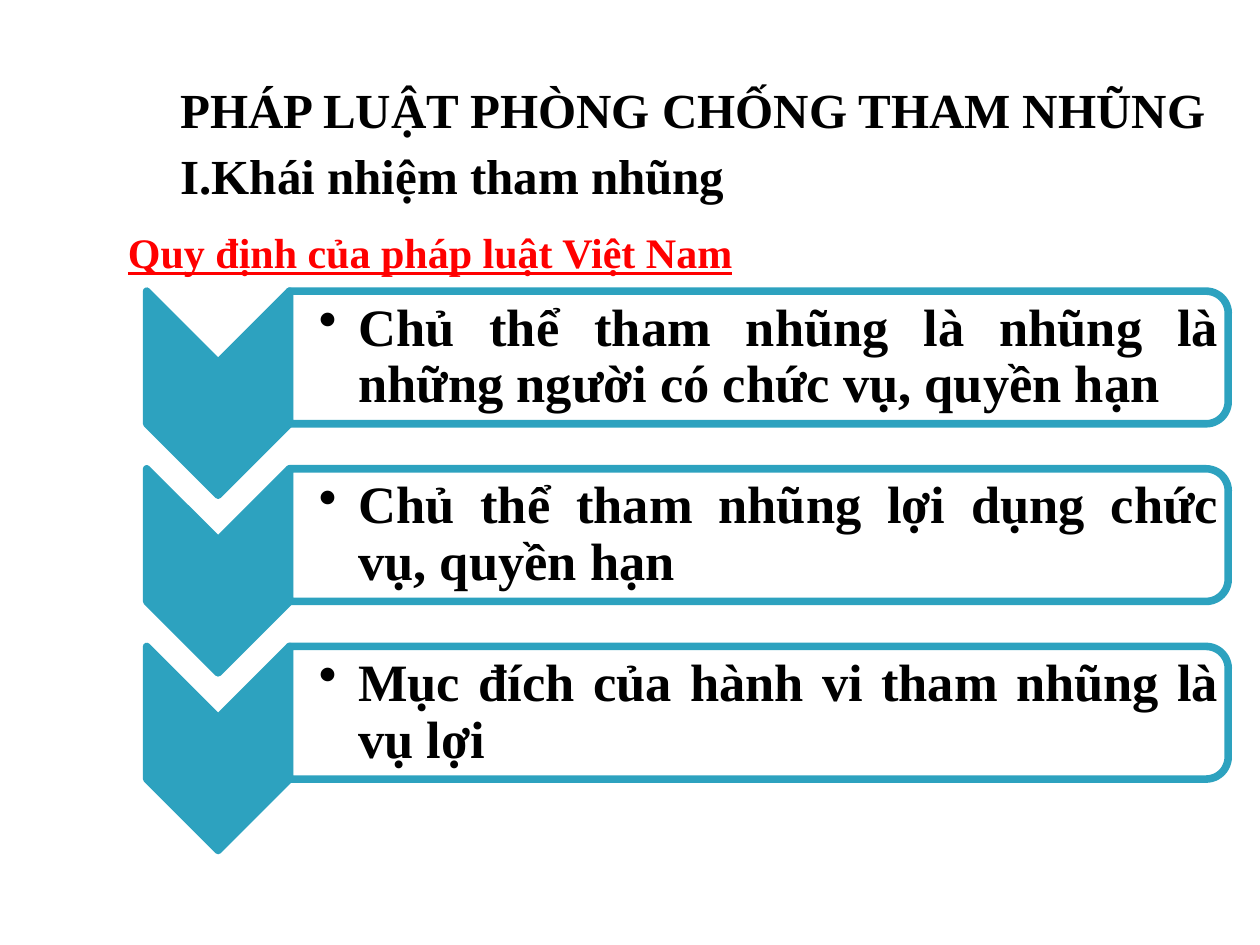
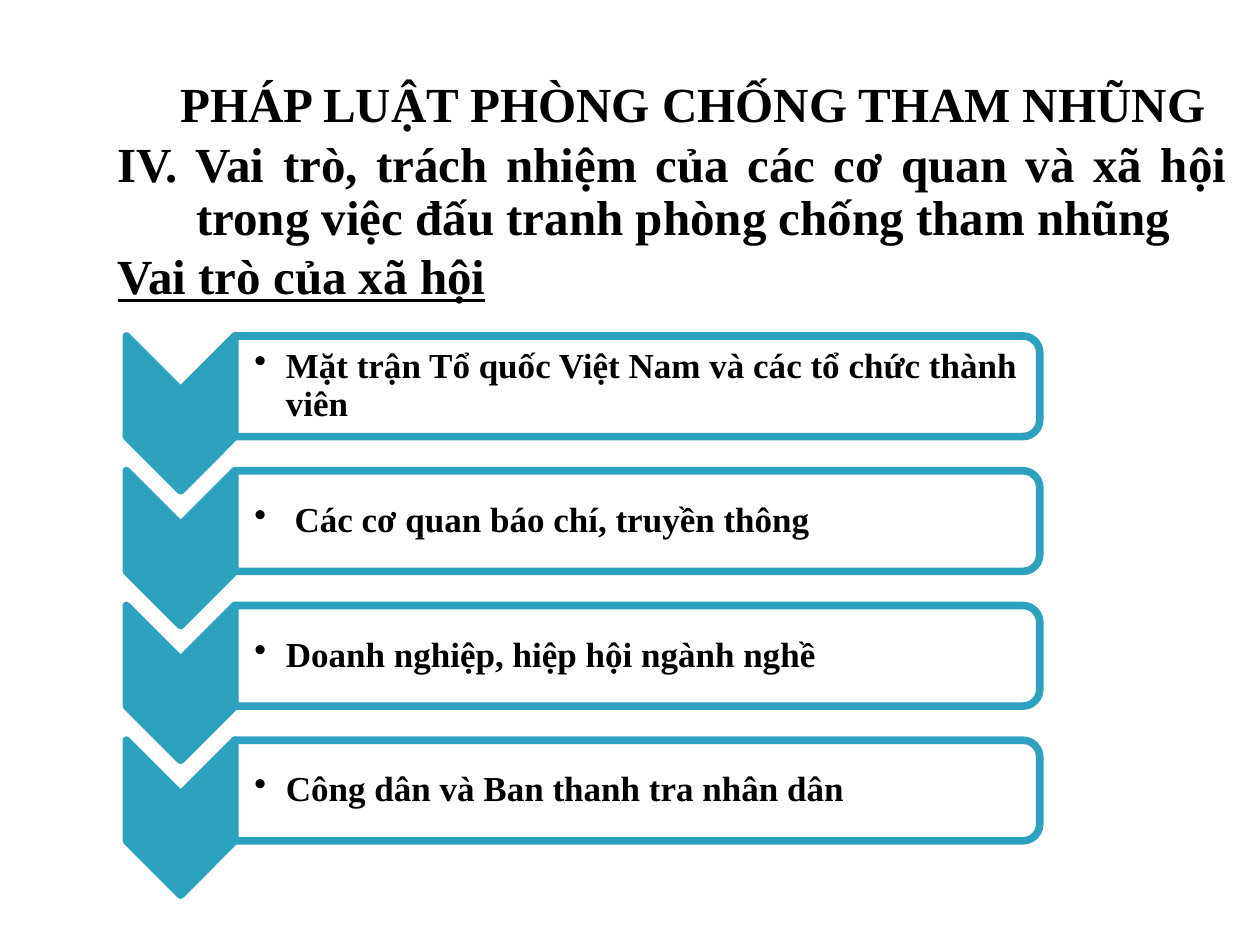
from lxml.etree import SubElement
from pptx import Presentation
from pptx.dml.color import RGBColor
from pptx.enum.shapes import MSO_SHAPE as Preset
from pptx.enum.text import MSO_ANCHOR as Anchor, MSO_AUTO_SIZE as AutoSize, PP_ALIGN as Align
from pptx.oxml.ns import qn
from pptx.util import Pt

COLORS = {"text": "000000", "accent": "2DA2BF", "panel": "FFFFFF", "alert": "FF0000"}
FONT = "Times New Roman"
TITLE = "PHÁP LUẬT PHÒNG CHỐNG THAM NHŨNG"


class Deck:
    def __init__(self):
        self.presentation = Presentation()
        self.presentation.slide_width = Pt(720)
        self.presentation.slide_height = Pt(540)
        self.slide = None

    def add_slide(self):
        title_only = self.presentation.slide_layouts[5]
        self.slide = self.presentation.slides.add_slide(title_only)

    def color(self, name):
        return RGBColor.from_string(COLORS[name])

    def style(self, paragraph, text, size, color="text", align=Align.LEFT, underline=False):
        paragraph.text = text
        paragraph.alignment = align
        font = paragraph.font
        font.name, font.size, font.bold = FONT, Pt(size), True
        font.underline = underline
        font.color.rgb = self.color(color)

    def indent(self, paragraph, left, first, bullet=None, **attributes):
        properties = paragraph._p.get_or_add_pPr()
        properties.set("marL", str(Pt(left)))
        properties.set("indent", str(Pt(first)))
        if bullet:
            SubElement(properties, qn(f"a:{bullet}"), attributes)

    def heading(self, height, lines, line_spacing=1.0):
        title = self.slide.shapes.title
        title.left, title.top, title.width, title.height = Pt(60), Pt(42), Pt(648), Pt(height)
        frame = title.text_frame
        frame.word_wrap = True
        frame.auto_size = AutoSize.NONE
        frame.vertical_anchor = Anchor.TOP
        for index, (text, align, underline, indent, numbering) in enumerate(lines):
            paragraph = frame.add_paragraph() if index else frame.paragraphs[0]
            self.style(paragraph, text, 28, align=align, underline=underline)
            paragraph.space_before = Pt(4)
            paragraph.line_spacing = line_spacing
            self.indent(paragraph, *indent, **numbering)

    def text_box(self, left, top, width, height):
        frame = self.slide.shapes.add_textbox(Pt(left), Pt(top), Pt(width), Pt(height)).text_frame
        frame.word_wrap = True
        return frame

    def subheading(self, text):
        frame = self.text_box(66, 126, 630, 36)
        self.style(frame.paragraphs[0], text, 24, "alert", Align.JUSTIFY, True)

    def turned_shape(self, preset, left, top, width, height, fill):
        shift = (width - height) / 2
        shape = self.slide.shapes.add_shape(
            preset, Pt(left + shift), Pt(top - shift), Pt(height), Pt(width))
        shape.rotation = 90
        shape.shadow.inherit = False
        shape.fill.solid()
        shape.fill.fore_color.rgb = self.color(fill)
        shape.line.color.rgb = self.color("accent")
        shape.line.width = Pt(4.33)
        return shape

    def bullet_text(self, box, text, size, align, hanging, inset, margin):
        frame = self.text_box(*box)
        frame.vertical_anchor = Anchor.MIDDLE
        frame.margin_left = Pt(inset)
        frame.margin_top = frame.margin_right = frame.margin_bottom = Pt(margin)
        paragraph = frame.paragraphs[0]
        self.style(paragraph, text, size, align=align)
        paragraph.line_spacing = 0.9
        self.indent(paragraph, hanging, -hanging, "buChar", char="•")

    def chevron_list(self, items, left, top, step, chevron_height, bar_width, **text_style):
        chevron_width = chevron_height * 0.7
        bar_height = chevron_height * 0.65
        bar_left = left + chevron_width
        corner = bar_height * 0.05
        text_width, text_height = bar_width - corner, bar_height - 2 * corner
        for index, text in enumerate(items):
            y = top + index * step
            self.turned_shape(Preset.CHEVRON, left, y, chevron_width, chevron_height, "accent")
            bar = self.turned_shape(
                Preset.ROUND_2_SAME_RECTANGLE, bar_left, y, bar_width, bar_height, "panel")
            color = bar._element.spPr.find(qn("a:solidFill"))[0]
            SubElement(color, qn("a:alpha"), val="90000")
            self.bullet_text(
                (bar_left, y + corner, text_width, text_height), text, **text_style)


def main():
    deck = Deck()
    title_line = (TITLE, Align.LEFT, False, (36, 0), {})

    deck.add_slide()
    numbering = {"bullet": "buAutoNum", "type": "romanUcPeriod"}
    deck.heading(84, [
        title_line,
        ("Khái nhiệm tham nhũng", Align.JUSTIFY, False, (9, 27), numbering),
    ])
    deck.subheading("Quy định của pháp luật Việt Nam")
    deck.chevron_list(
        ["Chủ thể tham nhũng là nhũng là những người có chức vụ, quyền hạn",
         "Chủ thể tham nhũng lợi dụng chức vụ, quyền hạn",
         "Mục đích của hành vi tham nhũng là vụ lợi"],
        left=83.8, top=166.4, step=101.5, chevron_height=116.6, bar_width=536.4,
        size=30, align=Align.JUSTIFY, hanging=22.5, inset=16.8, margin=1.5)

    deck.add_slide()
    hanging = (45, -45)
    deck.heading(138, [
        title_line,
        ("IV. Vai trò, trách nhiệm của các cơ quan và xã hội trong việc đấu tranh "
         "phòng chống tham nhũng", Align.JUSTIFY, False, hanging, {}),
        ("Vai trò của xã hội", Align.JUSTIFY, True, hanging, {}),
    ], line_spacing=0.9)
    deck.chevron_list(
        ["Mặt trận Tổ quốc Việt Nam và các tổ chức thành viên",
         " Các cơ quan báo chí, truyền thông",
         "Doanh nghiệp, hiệp hội ngành nghề",
         "Công dân và Ban thanh tra nhân dân"],
        left=72.2, top=192, step=77, chevron_height=88.5, bar_width=460,
        size=20, align=Align.LEFT, hanging=18, inset=11.2, margin=1)

    deck.presentation.save("out.pptx")


if __name__ == "__main__":
    main()
